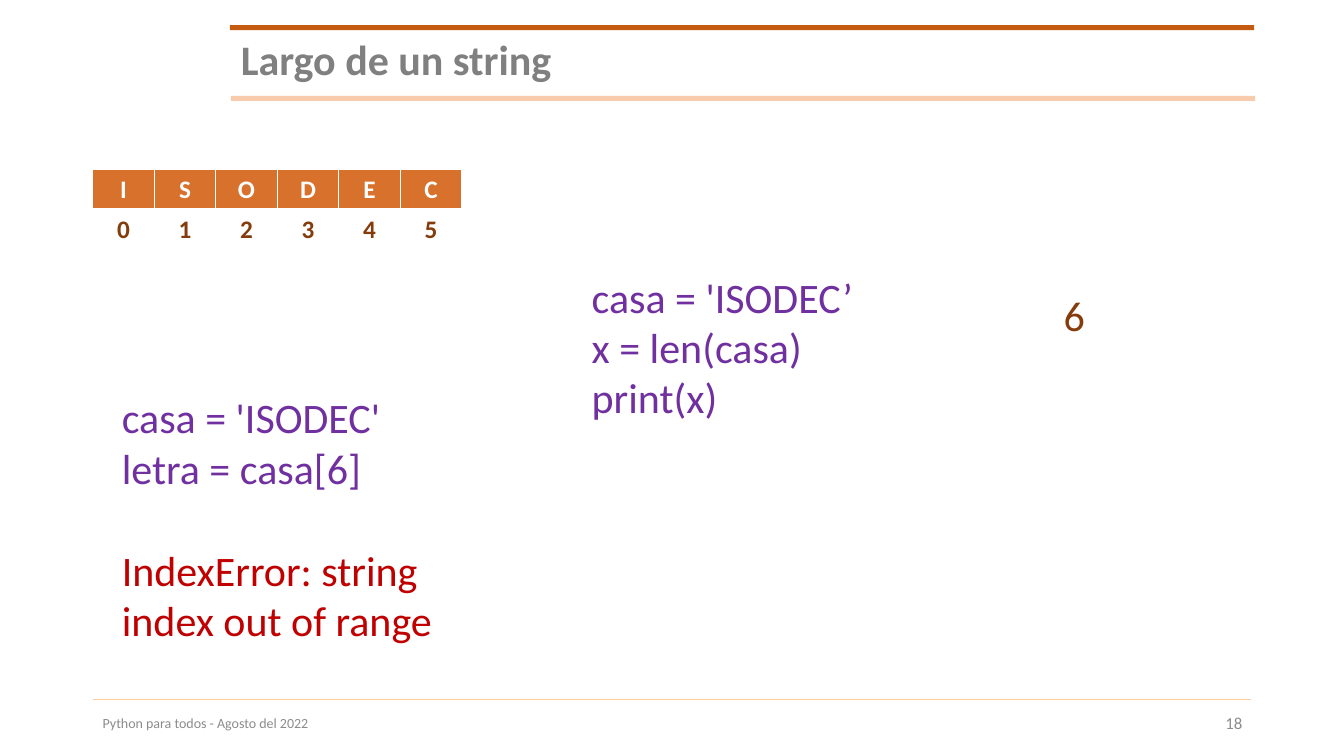
import pptx
import pptx.util
import pptx.dml.color
import pptx.enum.shapes
import pptx.enum.text
import pptx.oxml
import pptx.oxml.ns

Inches = pptx.util.Inches
Pt = pptx.util.Pt
RGBColor = pptx.dml.color.RGBColor
Align = pptx.enum.text.PP_ALIGN
Anchor = pptx.enum.text.MSO_ANCHOR

WHITE = RGBColor(0xFF, 0xFF, 0xFF)
RUST = RGBColor(0xC5, 0x5A, 0x11)
PEACH = RGBColor(0xF8, 0xCB, 0xAD)
SAND = RGBColor(0xFF, 0xCC, 0x99)
ORANGE = RGBColor(0xD7, 0x71, 0x2B)
BROWN = RGBColor(0x84, 0x3C, 0x0C)
PURPLE = RGBColor(0x70, 0x30, 0xA0)
RED = RGBColor(0xC0, 0x00, 0x00)
TITLE_GRAY = RGBColor(0x80, 0x80, 0x80)
FOOTER_GRAY = RGBColor(0x8C, 0x8C, 0x8C)


class SlideBuilder:
    font_name = "Calibri"
    body_size = 30

    def __init__(self, slide):
        self.slide = slide

    def style(self, paragraph, color, size, bold=False, align=Align.LEFT):
        paragraph.alignment = align
        font = paragraph.font
        font.name, font.size, font.bold = self.font_name, Pt(size), bold
        font.color.rgb = color

    def bar(self, left, top, width, height, color):
        bar = self.slide.shapes.add_shape(
            pptx.enum.shapes.MSO_SHAPE.RECTANGLE,
            Inches(left), Inches(top), Inches(width), Inches(height))
        bar.shadow.inherit = False
        bar.fill.solid()
        bar.fill.fore_color.rgb = color
        bar.line.fill.background()

    def rule(self, left, right, y, color, weight):
        rule = self.slide.shapes.add_connector(
            pptx.enum.shapes.MSO_CONNECTOR.STRAIGHT,
            Inches(left), Inches(y), Inches(right), Inches(y))
        rule.line.color.rgb = color
        rule.line.width = Pt(weight)
        properties = rule._element.spPr
        properties.append(properties.makeelement(pptx.oxml.ns.qn("a:effectLst"), {}))

    def text(self, left, top, width, height, lines, color, size=body_size,
             anchor=Anchor.TOP, **options):
        box = self.slide.shapes.add_textbox(
            Inches(left), Inches(top), Inches(width), Inches(height))
        frame = box.text_frame
        frame.word_wrap = True
        frame.vertical_anchor = anchor
        frame.text = "\n".join(lines)
        for paragraph in frame.paragraphs:
            self.style(paragraph, color, size, **options)
        return frame

    def border(self, cell, bottom_weight):
        weights = {"lnL": 1, "lnR": 1, "lnT": 1, "lnB": bottom_weight}
        for position, (side, weight) in enumerate(weights.items()):
            cell._tc.get_or_add_tcPr().insert(position, pptx.oxml.parse_xml(
                f'<a:{side} {pptx.oxml.ns.nsdecls("a")} w="{Pt(weight)}">'
                f'<a:solidFill><a:srgbClr val="{WHITE}"/></a:solidFill></a:{side}>'))

    def table(self, left, top, column_width, row_height, rows):
        """Each row is (values, fill, text color, bottom border weight)."""
        columns = len(rows[0][0])
        table = self.slide.shapes.add_table(
            len(rows), columns, Inches(left), Inches(top),
            Inches(column_width * columns), Inches(row_height * len(rows))).table
        for row, (values, fill, color, bottom_weight) in enumerate(rows):
            for column, value in enumerate(values):
                cell = table.cell(row, column)
                cell.text = value
                cell.fill.solid()
                cell.fill.fore_color.rgb = fill
                self.style(cell.text_frame.paragraphs[0], color, 18,
                           bold=True, align=Align.CENTER)
                self.border(cell, bottom_weight)


presentation = pptx.Presentation()
presentation.slide_width = Inches(13.33)
presentation.slide_height = Inches(7.5)
builder = SlideBuilder(presentation.slides.add_slide(presentation.slide_layouts[6]))

# Header
builder.bar(2.28, 0.25, 10.16, 0.05, RUST)
builder.bar(2.29, 0.95, 10.16, 0.05, PEACH)
title = builder.text(2.29, 0.33, 10.12, 0.57, ["Largo de un string"], TITLE_GRAY,
                     anchor=Anchor.MIDDLE, bold=True)
title.paragraphs[0].line_spacing = 0.9

# Footer
builder.rule(0.92, 12.41, 6.94, SAND, 0.5)
builder.text(0.92, 6.98, 8.5, 0.39, ["Python para todos - Agosto del 2022"],
             FOOTER_GRAY, 10, Anchor.MIDDLE)
builder.text(9.42, 6.98, 3, 0.39, ["18"], FOOTER_GRAY, 12, Anchor.MIDDLE,
             align=Align.RIGHT)

# Letters of the string and their indexes
word = "ISODEC"
builder.table(0.92, 1.68, 0.61, 0.4, [
    (word, ORANGE, WHITE, 3),
    ([str(index) for index in range(len(word))], WHITE, BROWN, 1),
])

# Length example and its result
builder.text(5.77, 2.64, 3.64, 1.62,
             ["casa = 'ISODEC’", "x = len(casa)", "print(x)"], PURPLE)
builder.text(10.45, 2.82, 2.13, 1.11, ["6"], BROWN)

# Out-of-range example and its error, one line apart
index_example = builder.text(
    1.11, 3.84, 3.64, 2.63,
    ["casa = 'ISODEC'", "letra = casa[6]", "IndexError: string index out of range"],
    PURPLE)
error = index_example.paragraphs[-1]
error.font.color.rgb = RED
error.space_before = Pt(36.6)

presentation.save("out.pptx")
